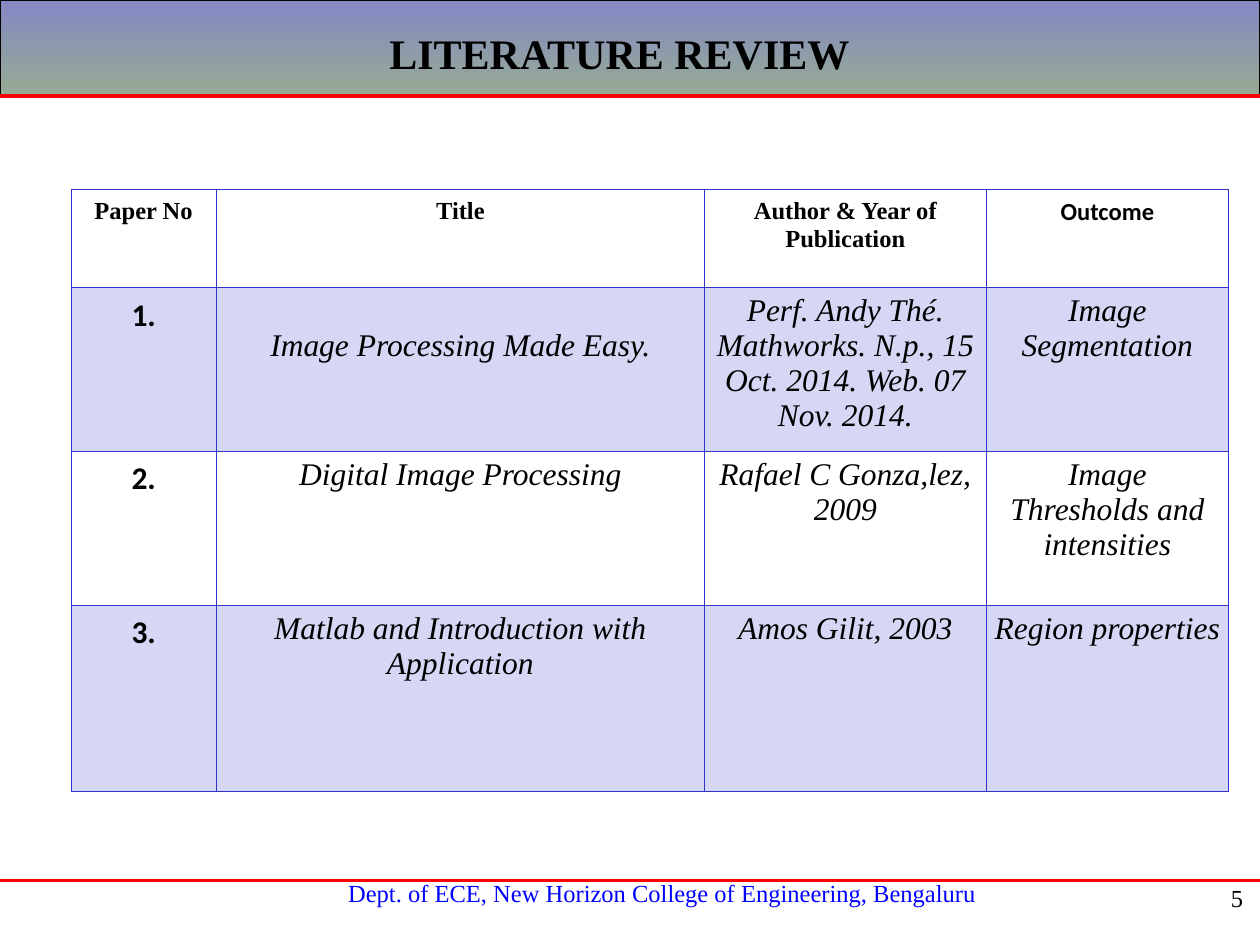
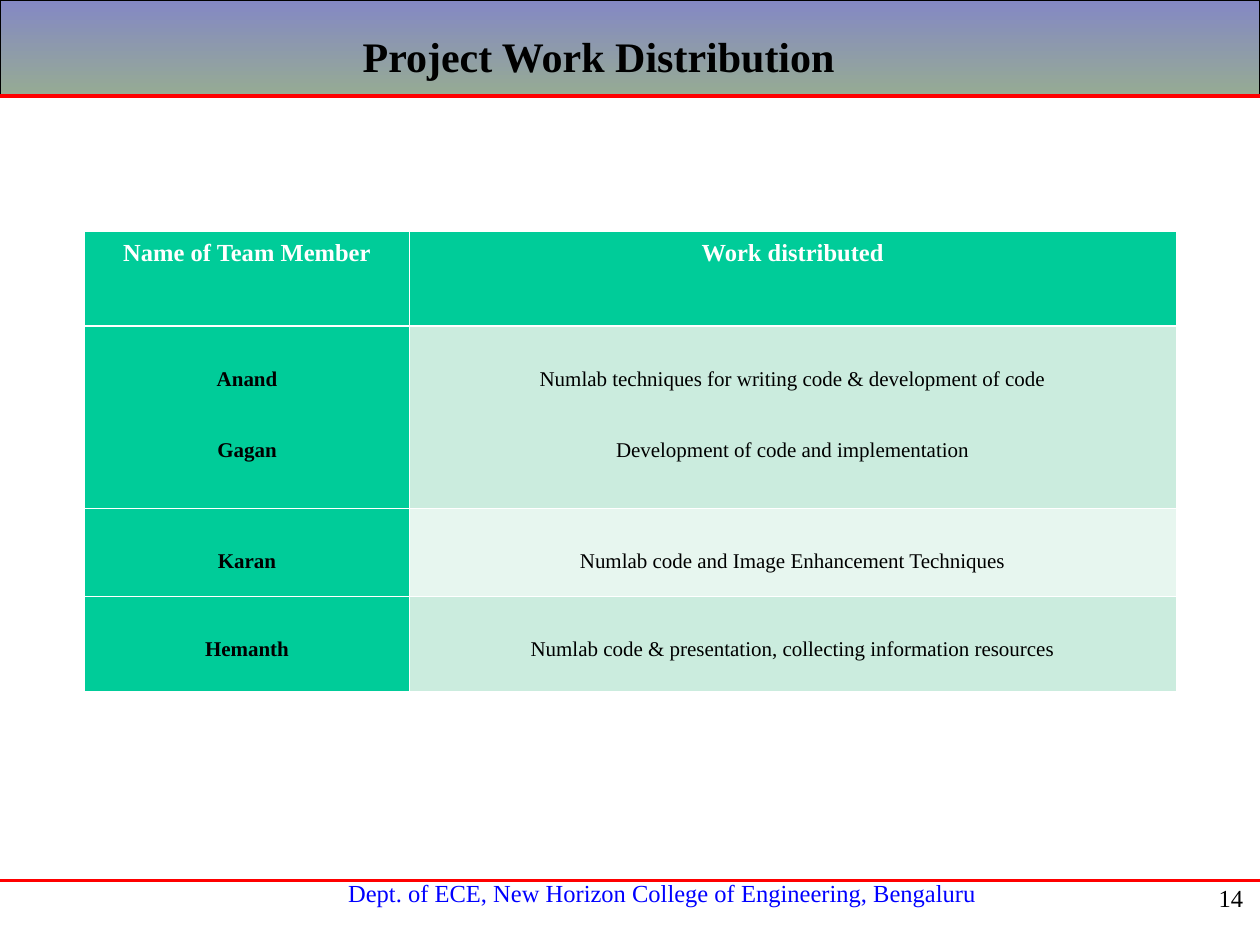
from dataclasses import dataclass

from lxml.etree import SubElement
from pptx import Presentation
from pptx.dml.color import RGBColor
from pptx.enum.shapes import MSO_CONNECTOR, MSO_SHAPE
from pptx.enum.text import MSO_ANCHOR as Anchor, MSO_AUTO_SIZE as AutoSize, PP_ALIGN as Align
from pptx.oxml import parse_xml
from pptx.oxml.ns import nsdecls, qn
from pptx.util import Pt


@dataclass(frozen=True)
class Style:
    size: int
    color: str = "000000"
    font: str = "Times New Roman"
    bold: bool = False
    italic: bool = False
    spacing: float = 1.0


class Theme:
    band_top, band_bottom, rule = "8488C4", "96AB94", "FF0000"
    indigo, lilac = "3333CC", "D6D6F5"
    green, mint, pale_mint, white = "00CC99", "CBECDE", "E7F6EF", "FFFFFF"
    title = Style(24, bold=True)
    footer = Style(14, "0000FF")
    page = Style(14)
    review_head = Style(14, bold=True, spacing=1.07)
    review_outcome = Style(14, font="Calibri", bold=True, spacing=1.07)
    review_no = Style(18, font="Calibri", bold=True, spacing=1.07)
    review_body = Style(18, italic=True)
    work_head = Style(14, white, bold=True, spacing=1.07)
    work_name = Style(12, bold=True, spacing=1.07)
    work_task = Style(12, spacing=1.07)


WIDTH, HEIGHT = 720, 540
FOOTER = "Dept. of ECE, New Horizon College of Engineering, Bengaluru"

# A line break inside a cell starts a new paragraph.
REVIEW = [
    ("Paper No", "Title", "Author & Year of Publication", "Outcome"),
    ("1.", "Image Processing Made Easy.",
     "Perf. Andy Thé. Mathworks. N.p., 15 Oct. 2014. Web. 07 Nov. 2014.",
     "Image Segmentation"),
    ("2.", "Digital Image Processing", "Rafael C Gonza,lez,\n2009",
     "Image\nThresholds and intensities"),
    ("3.", "Matlab and Introduction with Application", "Amos Gilit, 2003",
     "Region properties"),
]
WORK = [
    ("Name of Team Member", "Work distributed"),
    ("Anand\nGagan",
     "Numlab techniques for writing code & development of code\n"
     "Development of code and implementation"),
    ("Karan", "Numlab code and Image Enhancement Techniques"),
    ("Hemanth", "Numlab code & presentation, collecting information resources"),
]


def rgb(color):
    return RGBColor.from_string(color)


def write(tf, text, style, align=Align.CENTER, gap=0):
    """Fill a text frame, with gap points between its paragraphs."""
    for i, line in enumerate(text.split("\n")):
        p = tf.add_paragraph() if i else tf.paragraphs[0]
        p.alignment, p.line_spacing = align, style.spacing
        p.space_before = Pt(gap if i else 0)
        r = p.add_run()
        r.text = line
        r.font.name, r.font.size = style.font, Pt(style.size)
        r.font.bold, r.font.italic = style.bold, style.italic
        r.font.color.rgb = rgb(style.color)


def add_text(s, box, text, style, align=Align.CENTER):
    sp = s.shapes.add_textbox(*map(Pt, box))
    sp.text_frame.word_wrap = True
    write(sp.text_frame, text, style, align)
    return sp


def add_rule(s, y, weight):
    line = s.shapes.add_connector(MSO_CONNECTOR.STRAIGHT, 0, Pt(y), Pt(WIDTH), Pt(y))
    line.line.color.rgb, line.line.width = rgb(Theme.rule), Pt(weight)
    SubElement(line.element.spPr, qn("a:effectLst"))
    return line


def add_band(s):
    band = s.shapes.add_shape(MSO_SHAPE.RECTANGLE, 0, 0, Pt(WIDTH), Pt(54))
    band.shadow.inherit = False
    band.fill.gradient()
    band.fill.gradient_angle = 270
    for stop, color in zip(band.fill.gradient_stops, (Theme.band_top, Theme.band_bottom)):
        stop.color.rgb = rgb(color)
    band.line.color.rgb, band.line.width = rgb("000000"), Pt(0.75)
    return band


def furnish_layout(layout, s):
    """Draw the shared parts on a slide, then move them to its layout."""
    parts = [add_band(s), add_rule(s, 54.7, 2.25),
             add_text(s, (123.5, 498.2, 510, 25), FOOTER, Theme.footer),
             add_rule(s, 503.3, 1.5)]
    for part in parts:
        layout.shapes.element.append(part.element)


def set_title(s, text, box, align):
    title = s.shapes.title
    title.left, title.top, title.width, title.height = map(Pt, box)
    tf = title.text_frame
    tf.auto_size, tf.vertical_anchor, tf.word_wrap = AutoSize.NONE, Anchor.MIDDLE, True
    write(tf, text, Theme.title, align)


def add_page_number(s, number):
    add_text(s, (567.4, 501, 150, 36), str(number), Theme.page, Align.RIGHT)


def set_borders(cell, color, widths):
    """Set the left, right, top and bottom lines, which come before the fill."""
    for i, (side, width) in enumerate(zip("LRTB", widths)):
        cell._tc.get_or_add_tcPr().insert(i, parse_xml(
            f'<a:ln{side} {nsdecls("a")} w="{Pt(width)}"><a:solidFill>'
            f'<a:srgbClr val="{color}"/></a:solidFill></a:ln{side}>'))


def add_table(s, rows, origin, widths, heights, look, border, head_rule, side, gap=0):
    """look(row, col) gives the style, fill and top margin of a cell."""
    frame = s.shapes.add_table(len(rows), len(widths), *map(Pt, origin),
                               Pt(sum(widths)), Pt(sum(heights)))
    table = frame.table
    table.first_row = table.horz_banding = False
    for column, width in zip(table.columns, widths):
        column.width = Pt(width)
    for i, (row, height) in enumerate(zip(rows, heights)):
        table.rows[i].height = Pt(height)
        for j, text in enumerate(row):
            cell = table.cell(i, j)
            style, fill, top = look(i, j)
            cell.margin_left = cell.margin_right = Pt(side)
            cell.margin_top, cell.margin_bottom = Pt(top), Pt(3.6)
            if fill:
                cell.fill.solid()
                cell.fill.fore_color.rgb = rgb(fill)
            else:
                cell.fill.background()
            set_borders(cell, border, (0.45, 0.45, head_rule if i == 1 else 0.45,
                                       head_rule if i == 0 else 0.45))
            write(cell.text_frame, text, style, gap=gap)


def review_look(i, j):
    if i == 0:
        style = Theme.review_outcome if j == 3 else Theme.review_head
    else:
        style = Theme.review_body if j else Theme.review_no
    return style, Theme.lilac if i % 2 else None, 23.5 if (i, j) == (1, 1) else 3.6


def work_look(i, j):
    if i == 0:
        return Theme.work_head, Theme.green, 3.6
    if j == 0:
        return Theme.work_name, Theme.green, 23
    return Theme.work_task, Theme.mint if i % 2 else Theme.pale_mint, 23


def main():
    prs = Presentation()
    prs.slide_width, prs.slide_height = Pt(WIDTH), Pt(HEIGHT)
    layout = prs.slide_layouts.get_by_name("Title Only")

    s = prs.slides.add_slide(layout)
    furnish_layout(layout, s)
    set_title(s, "LITERATURE REVIEW", (48, 6, 612, 48), Align.CENTER)
    add_table(s, REVIEW, (40.6, 108), (83, 279, 161, 138.5), (56.3, 93.4, 88, 106.4),
              review_look, Theme.indigo, head_rule=0.96, side=1.5)
    add_page_number(s, 5)

    s = prs.slides.add_slide(layout)
    set_title(s, "Project Work Distribution", (200, 12.6, 300, 38.2), Align.LEFT)
    add_table(s, WORK, (48.4, 132.4), (185.6, 438), (54, 104, 50.3, 54.4),
              work_look, Theme.white, head_rule=1.47, side=4.3, gap=26.3)
    add_page_number(s, 14)

    prs.save("out.pptx")


if __name__ == "__main__":
    main()
